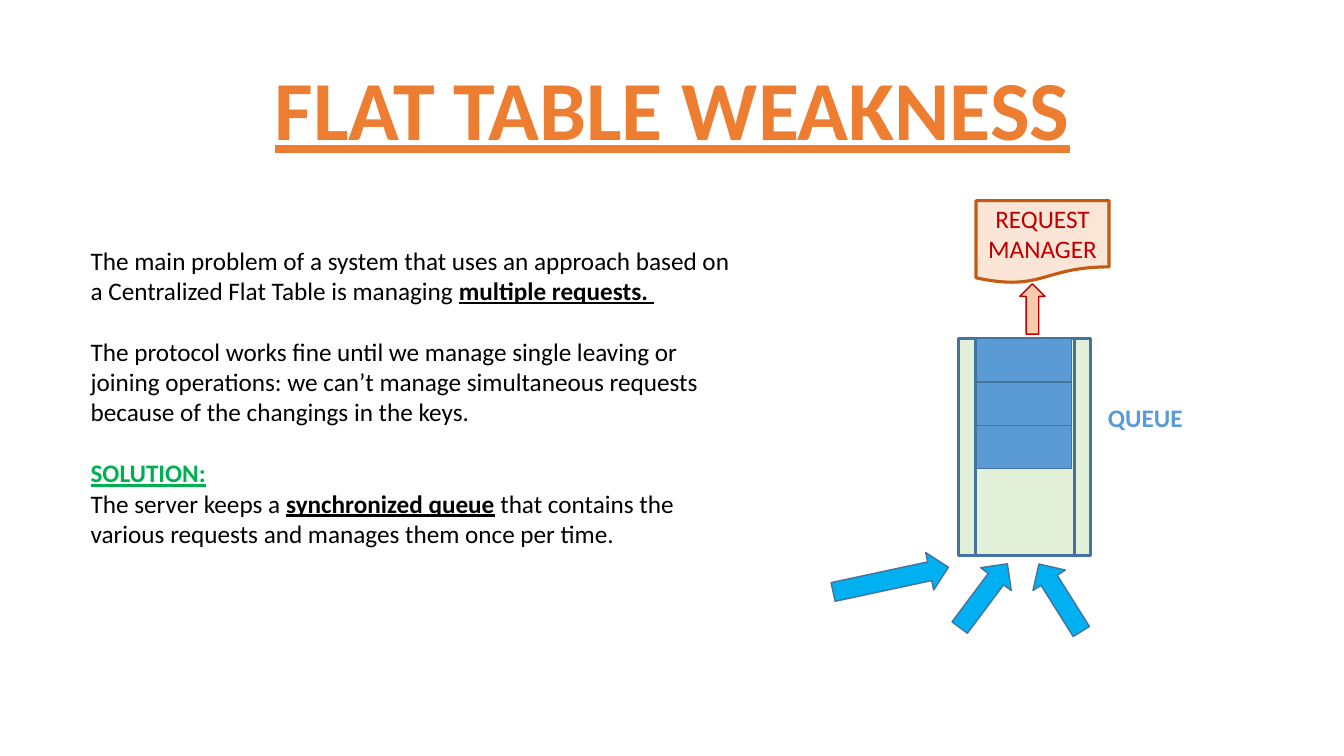
from dataclasses import dataclass
from typing import Any

from pptx import Presentation
from pptx.dml.color import RGBColor
from pptx.enum.shapes import MSO_SHAPE
from pptx.enum.text import MSO_ANCHOR, MSO_AUTO_SIZE, PP_ALIGN
from pptx.slide import Slide
from pptx.text.text import TextFrame
from pptx.util import Emu, Pt

EMU_PER_PX = 9144


@dataclass(frozen=True)
class Theme:
    """Colours, font and type sizes of the slide."""

    font: str = "Calibri"
    title_size: int = 60
    body_size: int = 18
    paragraph_gap: int = 22
    black: str = "000000"
    orange: str = "ED7D31"
    green: str = "00B050"
    blue: str = "5B9BD5"
    outline: str = "43739E"
    request: str = "00B0F0"
    queue: str = "E2F0D9"
    manager: str = "FBE5D6"
    manager_line: str = "C55A11"
    delivery: str = "F8CBAD"
    red: str = "C00000"


THEME = Theme()


@dataclass(frozen=True)
class Box:
    """A place on the page, in px."""

    left: int
    top: int
    width: int
    height: int

    def lengths(self) -> list[Emu]:
        """Return left, top, width and height in EMU."""
        return [Emu(px * EMU_PER_PX) for px in (self.left, self.top, self.width, self.height)]


@dataclass(frozen=True)
class Span:
    """A stretch of text in one style."""

    text: str
    color: str = THEME.black
    bold: bool = False
    underline: bool = False
    size: int = THEME.body_size


@dataclass(frozen=True)
class Para:
    """A paragraph made of spans."""

    spans: tuple[Span, ...]
    format: dict[str, Any]


@dataclass(frozen=True)
class Figure:
    """A filled preset shape."""

    kind: MSO_SHAPE
    box: Box
    fill: str
    line: str = THEME.outline
    weight: float = 1
    rotation: float = 0
    paras: tuple[Para, ...] = ()


@dataclass(frozen=True)
class Label:
    """A text box."""

    box: Box
    paras: tuple[Para, ...]
    frame: dict[str, Any]


def emphasis(text: str, color: str = THEME.black, size: int = THEME.body_size) -> Span:
    """Return a bold, underlined span."""
    return Span(text, color, True, True, size)


CENTERED = {"alignment": PP_ALIGN.CENTER}
SPACED = {"space_before": Pt(THEME.paragraph_gap)}
GROWING = {"word_wrap": True, "auto_size": MSO_AUTO_SIZE.SHAPE_TO_FIT_TEXT}

QUEUE_BOX = Box(951, 336, 131, 215)
SLOT_COUNT, SLOT_HEIGHT = 3, 43
SLOTS = tuple(
    Figure(MSO_SHAPE.RECTANGLE, Box(968, QUEUE_BOX.top + index * SLOT_HEIGHT, 95, SLOT_HEIGHT), THEME.blue)
    for index in range(SLOT_COUNT)
)
REQUESTS = tuple(
    Figure(MSO_SHAPE.RIGHT_ARROW, box, THEME.request, rotation=rotation)
    for box, rotation in (
        (Box(825, 556, 117, 38), 347.9),
        (Box(936, 572, 79, 38), 306.8),
        (Box(1012, 574, 79, 38), 237.9),
    )
)
FIGURES = (
    Figure(MSO_SHAPE.FLOWCHART_PREDEFINED_PROCESS, QUEUE_BOX, THEME.queue, weight=2.25),
    *SLOTS,
    Figure(
        MSO_SHAPE.FLOWCHART_DOCUMENT, Box(968, 199, 132, 82), THEME.manager, THEME.manager_line, 2.25,
        paras=(Para((Span("REQUEST MANAGER", THEME.red),), CENTERED),),
    ),
    *REQUESTS,
    Figure(MSO_SHAPE.RIGHT_ARROW, Box(999, 294, 50, 25), THEME.delivery, THEME.red, rotation=270),
)
LABELS = (
    Label(
        Box(92, 40, 1150, 145),
        (Para((emphasis("FLAT TABLE WEAKNESS", THEME.orange, THEME.title_size),), {**CENTERED, "line_spacing": 0.9}),),
        {"word_wrap": True, "vertical_anchor": MSO_ANCHOR.MIDDLE},
    ),
    Label(
        Box(80, 238, 669, 313),
        (
            Para((
                Span("The main problem of a system that uses an approach based on a Centralized Flat Table is managing "),
                emphasis("multiple requests. "),
            ), {}),
            Para((Span(
                "The protocol works fine until we manage single leaving or joining operations: "
                "we can’t manage simultaneous requests because of the changings in the keys."
            ),), SPACED),
            Para((emphasis("SOLUTION:", THEME.green),), SPACED),
            Para((
                Span("The server keeps a "),
                emphasis("synchronized queue"),
                Span(" that contains the various requests and manages them once per time."),
            ), {}),
        ),
        GROWING,
    ),
    Label(
        Box(1089, 394, 95, 40),
        (Para((Span("QUEUE", THEME.blue, bold=True),), {}),),
        {**GROWING, "word_wrap": False},
    ),
)


def apply_format(target: Any, values: dict[str, Any]) -> None:
    """Set each named attribute on the target."""
    for name, value in values.items():
        setattr(target, name, value)


def write_paras(frame: TextFrame, paras: tuple[Para, ...]) -> None:
    """Fill a text frame with styled paragraphs."""
    for index, para in enumerate(paras):
        paragraph = frame.add_paragraph() if index else frame.paragraphs[0]
        apply_format(paragraph, para.format)
        for span in para.spans:
            run = paragraph.add_run()
            run.text = span.text
            apply_format(run.font, {
                "name": THEME.font, "size": Pt(span.size), "bold": span.bold, "underline": span.underline,
            })
            run.font.color.rgb = RGBColor.from_string(span.color)


def draw_figure(page: Slide, figure: Figure) -> None:
    """Draw a preset shape with its text."""
    shape = page.shapes.add_shape(figure.kind, *figure.box.lengths())
    shape.shadow.inherit = False
    shape.rotation = figure.rotation
    shape.fill.solid()
    shape.fill.fore_color.rgb = RGBColor.from_string(figure.fill)
    shape.line.color.rgb = RGBColor.from_string(figure.line)
    shape.line.width = Pt(figure.weight)
    write_paras(shape.text_frame, figure.paras)


def draw_label(page: Slide, label: Label) -> None:
    """Draw a text box."""
    frame = page.shapes.add_textbox(*label.box.lengths()).text_frame
    apply_format(frame, label.frame)
    write_paras(frame, label.paras)


def main() -> None:
    """Build and save the deck."""
    deck = Presentation()
    apply_format(deck, {"slide_width": Emu(1333 * EMU_PER_PX), "slide_height": Emu(750 * EMU_PER_PX)})
    page = deck.slides.add_slide(deck.slide_layouts[6])
    for figure in FIGURES:
        draw_figure(page, figure)
    for label in LABELS:
        draw_label(page, label)
    deck.save("out.pptx")


if __name__ == "__main__":
    main()
